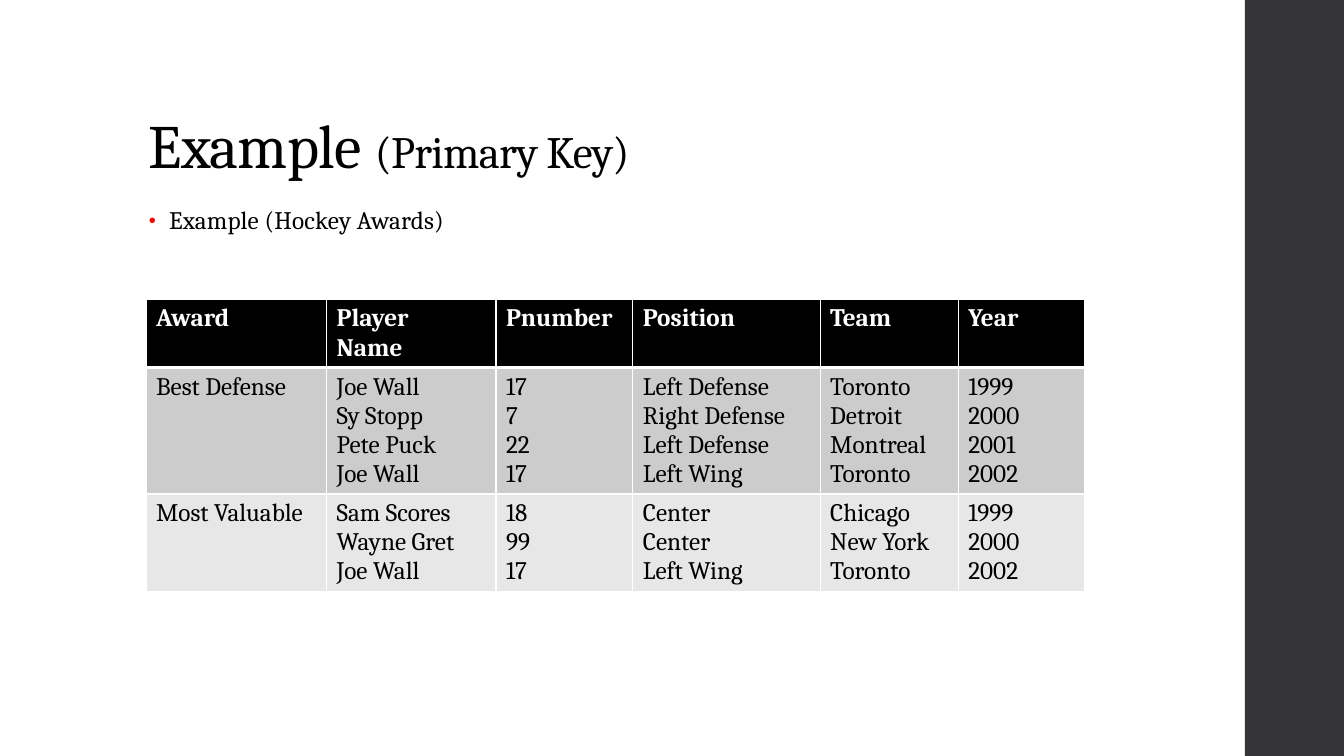
import dataclasses

import pptx
import pptx.dml.color
import pptx.enum.shapes
import pptx.enum.text
import pptx.oxml.ns
import pptx.util
from lxml import etree

Cm, Pt = pptx.util.Cm, pptx.util.Pt
rgb = pptx.dml.color.RGBColor.from_string
qn = pptx.oxml.ns.qn


@dataclasses.dataclass(frozen=True)
class Theme:
    font: str = "Cambria"
    ink: str = "000000"
    paper: str = "FFFFFF"
    side: str = "353537"
    bullet: str = "FF0000"
    bands: tuple = ("000000", "CCCCCC", "E7E7E7")
    title: int = 44
    note: int = 32
    text: int = 18


theme = Theme()


def write(par, text, size=theme.text, color=theme.ink, bold=False, track=0):
    """Add a run to par; track is the letter spacing in points."""
    run = par.add_run()
    run.text = text
    font = run.font
    font.name, font.size, font.bold = theme.font, Pt(size), bold
    font.color.rgb = rgb(color)
    if track:
        font._element.set("spc", str(round(track * 100)))


def edge(cell, side, width):
    line = etree.SubElement(cell._tc.get_or_add_tcPr(), qn("a:ln" + side), w=str(Pt(width)))
    fill = etree.SubElement(line, qn("a:solidFill"))
    etree.SubElement(fill, qn("a:srgbClr"), val=theme.paper)


deck = pptx.Presentation()
deck.slide_width, deck.slide_height = Cm(33.87), Cm(19.05)
slide = deck.slides.add_slide(deck.slide_layouts[1])

# Side band
band = slide.shapes.add_shape(
    pptx.enum.shapes.MSO_SHAPE.RECTANGLE, Cm(31.37), 0, Cm(2.5), deck.slide_height)
band.shadow.inherit = False
band.fill.solid()
band.fill.fore_color.rgb = rgb(theme.side)
band.line.fill.background()

# Title and list
title, body = slide.shapes.title, slide.placeholders[1]
anchor = pptx.enum.text.MSO_ANCHOR
for holder, box, place in (
    (title, (3.5, 1.02, 26.92, 3.68), anchor.BOTTOM),
    (body, (3.5, 5.08, 23.88, 12.09), anchor.TOP),
):
    holder.left, holder.top, holder.width, holder.height = map(Cm, box)
    holder.text_frame.vertical_anchor = place
    holder.text_frame.auto_size = pptx.enum.text.MSO_AUTO_SIZE.NONE

head = title.text_frame.paragraphs[0]
head.alignment = pptx.enum.text.PP_ALIGN.LEFT
head.line_spacing = 0.9
write(head, "Example ", size=theme.title, track=-0.5)
write(head, "(Primary Key)", size=theme.note, track=-0.5)

item = body.text_frame.paragraphs[0]
item.line_spacing, item.space_before, item.space_after = 0.95, Pt(14), Pt(2)
props = item._p.get_or_add_pPr()
props.set("marL", str(Cm(0.51)))
props.set("indent", str(-Cm(0.51)))
tint = etree.SubElement(props, qn("a:buClr"))
etree.SubElement(tint, qn("a:srgbClr"), val=theme.bullet)
etree.SubElement(props, qn("a:buSzPct"), val="80000")
etree.SubElement(props, qn("a:buChar"), char="•")
write(item, "Example (Hockey Awards)", track=0.1)

# Awards table: each cell is a list of lines
rows = [
    [["Award"], ["Player", "Name"], ["Pnumber"], ["Position"], ["Team"], ["Year"]],
    [
        ["Best Defense"],
        ["Joe Wall", "Sy Stopp", "Pete Puck", "Joe Wall"],
        ["17", "7", "22", "17"],
        ["Left Defense", "Right Defense", "Left Defense", "Left Wing"],
        ["Toronto", "Detroit", "Montreal", "Toronto"],
        ["1999", "2000", "2001", "2002"],
    ],
    [
        ["Most Valuable"],
        ["Sam Scores", "Wayne Gret", "Joe Wall"],
        ["18", "99", "17"],
        ["Center", "Center", "Left Wing"],
        ["Chicago", "New York", "Toronto"],
        ["1999", "2000", "2002"],
    ],
]
widths = [4.55, 4.27, 3.45, 4.72, 3.48, 3.18]
heights = [1.7, 3.15, 2.4]
table = slide.shapes.add_table(
    len(rows), len(widths), Cm(3.68), Cm(7.54), Cm(sum(widths)), Cm(sum(heights))).table
for col, width in zip(table.columns, widths):
    col.width = Cm(width)
for r, row in enumerate(rows):
    table.rows[r].height = Cm(heights[r])
    top = r == 0
    for c, lines in enumerate(row):
        cell = table.cell(r, c)
        for side in "LRTB":
            thick = (r, side) in ((0, "B"), (1, "T"))
            edge(cell, side, 3 if thick else 1)
        cell.fill.solid()
        cell.fill.fore_color.rgb = rgb(theme.bands[r])
        frame = cell.text_frame
        for n, line in enumerate(lines):
            par = frame.add_paragraph() if n else frame.paragraphs[0]
            write(par, line, color=theme.paper if top else theme.ink, bold=top)

deck.save("out.pptx")
